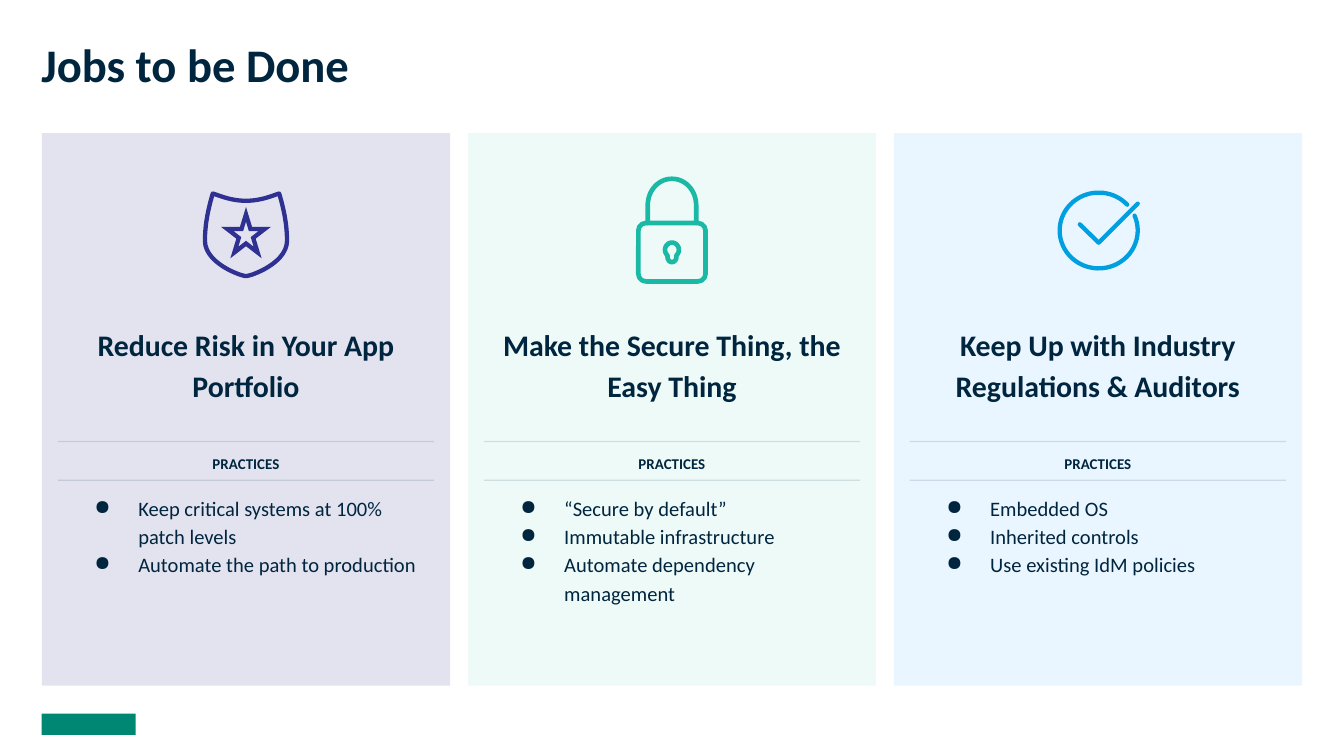
import math

from lxml import etree
from pptx import Presentation
from pptx import util as u
from pptx.dml.color import RGBColor
from pptx.enum import shapes, text
from pptx.oxml.ns import qn

Pt = u.Pt
NAVY = "00253E"
FONT = "Calibri"
CENTER = text.PP_ALIGN.CENTER
RECT = shapes.MSO_SHAPE.RECTANGLE

CARD_WIDTH, CARD_PITCH, MIDDLE = 218.8, 228.2, 360
INNER_WIDTH = 201.6


def set_color(color_format, value, alpha=100):
    """Apply a hex colour, with opacity in percent."""
    color_format.rgb = RGBColor.from_string(value)
    if alpha < 100:
        element = color_format._xFill.find(qn("a:srgbClr"))
        etree.SubElement(element, qn("a:alpha")).set("val", str(alpha * 1000))


def add_block(slide, left, top, width, height, color, alpha=100):
    shape = slide.shapes.add_shape(RECT, Pt(left), Pt(top), Pt(width), Pt(height))
    shape.shadow.inherit = False
    shape.fill.solid()
    set_color(shape.fill.fore_color, color, alpha)
    shape.line.fill.background()


def add_text_frame(slide, left, top, width, height, anchor=text.MSO_ANCHOR.TOP):
    frame = slide.shapes.add_textbox(Pt(left), Pt(top), Pt(width), Pt(height)).text_frame
    values = dict.fromkeys(
        ("margin_left", "margin_right", "margin_top", "margin_bottom"), Pt(7.2))
    values.update(word_wrap=True, vertical_anchor=anchor)
    for name, value in values.items():
        setattr(frame, name, value)
    return frame


def write(paragraph, words, size, bold=False, bullet=False, **layout):
    if bullet:
        add_bullet(paragraph)
    for name, value in layout.items():
        setattr(paragraph, name, value)
    run = paragraph.add_run()
    run.text = words
    for name, value in {"name": FONT, "size": Pt(size), "bold": bold}.items():
        setattr(run.font, name, value)
    set_color(run.font.color, NAVY)


def add_bullet(paragraph):
    properties = paragraph._p.get_or_add_pPr()
    properties.set("marL", str(Pt(36)))
    properties.set("indent", str(Pt(-23.5)))
    bullet_color = etree.SubElement(properties, qn("a:buClr"))
    etree.SubElement(bullet_color, qn("a:srgbClr")).set("val", NAVY)
    etree.SubElement(properties, qn("a:buChar")).set("char", "●")


# Icon strokes: x is measured from the middle of the card
def style_stroke(shape, color, width, join="round"):
    shape.shadow.inherit = False
    shape.fill.background()
    shape.line.width = Pt(width)
    set_color(shape.line.color, color)
    line = shape.line._get_or_add_ln()
    line.set("cap", "rnd")
    etree.SubElement(line, qn(f"a:{join}"))


def add_path(slide, center, points, color, width, close=False):
    places = [(Pt(center + x), Pt(y)) for x, y in points]
    builder = slide.shapes.build_freeform(*places[0], scale=1.0)
    builder.add_line_segments(places[1:], close=close)
    style_stroke(builder.convert_to_shape(), color, width)


def add_preset(slide, kind, left, top, width, height, color, stroke, join="round"):
    shape = slide.shapes.add_shape(kind, Pt(left), Pt(top), Pt(width), Pt(height))
    style_stroke(shape, color, stroke, join)
    return shape


def trace(start, *curves, steps=14):
    """Points along a chain of cubic curves."""
    points = [start]
    for first, second, end in curves:
        begin = points[-1]
        for step in range(1, steps + 1):
            t = step / steps
            weights = ((1 - t) ** 3, 3 * t * (1 - t) ** 2, 3 * t * t * (1 - t), t ** 3)
            corners = (begin, first, second, end)
            points.append(tuple(sum(w * c[axis] for w, c in zip(weights, corners))
                                for axis in (0, 1)))
    return points


def mirror(points):
    """Complete a right half with its left half."""
    return points + [(-x, y) for x, y in reversed(points)]


def draw_shield(slide, center, color):
    half = trace((0, 107.6),
                 ((8.6, 107.6), (15, 104.4), (17.8, 103.7)),
                 ((19.5, 109.5), (22, 118.8), (22, 128.9)),
                 ((22, 141), (2.9, 147.9), (0, 147.9)))
    add_path(slide, center, mirror(half), color, 2.3, close=True)
    add_preset(slide, shapes.MSO_SHAPE.STAR_5_POINT, center - 10.1, 114.8,
               20.2, 20.5, color, 2.3, "miter")


def draw_padlock(slide, center, color):
    body = add_preset(slide, shapes.MSO_SHAPE.ROUNDED_RECTANGLE, center - 18, 119.5,
                      36, 31.3, color, 2.5)
    body.adjustments[0] = 0.13
    shackle = trace((0, 95.8), ((7.2, 95.8), (13, 102), (13, 110.2))) + [(13, 119.5)]
    add_path(slide, center, mirror(shackle[::-1]), color, 2.5)
    keyhole = trace((0, 130),
                    ((2, 130), (3.7, 131.7), (3.7, 133.9)),
                    ((3.7, 135.2), (3.1, 136.2), (2.3, 136.9)),
                    ((2.6, 138.8), (1.6, 140.4), (0, 140.4)))
    add_path(slide, center, mirror(keyhole), color, 2.5, close=True)


def draw_check(slide, center, color):
    angles = [math.radians(degree) for degree in range(-23, 318, 5)]
    ring = [(0.4 + 20.9 * math.cos(a), 123.5 + 20.3 * math.sin(a)) for a in angles]
    add_path(slide, center, ring, color, 2.3)
    add_path(slide, center, [(-9.7, 120.2), (0.4, 130), (21.3, 109.1)], color, 2.3)


def add_card(slide, center, card):
    tint, alpha, draw_icon, icon_color, heading, practices = card
    add_block(slide, center - CARD_WIDTH / 2, 71.4, CARD_WIDTH, 296, tint, alpha)
    draw_icon(slide, center, icon_color)
    left = center - INNER_WIDTH / 2

    # Heading and practices
    frame = add_text_frame(slide, left, 164.9, INNER_WIDTH, 180)
    write(frame.paragraphs[0], heading, 16, bold=True,
          alignment=CENTER, line_spacing=1.15)
    for number, practice in enumerate(practices):
        write(frame.add_paragraph(), practice, 11, bullet=True, line_spacing=1.15,
              space_before=Pt(0 if number else 47.5))

    # Label between two thin rules
    for top in (236.2, 257):
        add_block(slide, left, top, INNER_WIDTH, 0.75, NAVY, 13)
    label = add_text_frame(slide, left, 242, INNER_WIDTH, 13, text.MSO_ANCHOR.MIDDLE)
    write(label.paragraphs[0], "PRACTICES", 8, bold=True,
          alignment=CENTER, space_after=Pt(3))


CARDS = [
    ("2E2C91", 13, draw_shield, "2E3092", "Reduce Risk in Your App Portfolio",
     ["Keep critical systems at 100% patch levels", "Automate the path to production"]),
    ("1AB9A5", 7, draw_padlock, "1AB9A5", "Make the Secure Thing, the Easy Thing",
     ["“Secure by default”", "Immutable infrastructure",
      "Automate dependency management"]),
    ("1FA1FF", 9, draw_check, "009FDF", "Keep Up with Industry Regulations & Auditors",
     ["Embedded OS", "Inherited controls", "Use existing IdM policies"]),
]


def main():
    presentation = Presentation()
    presentation.slide_width, presentation.slide_height = Pt(720), Pt(405)
    slide = presentation.slides.add_slide(presentation.slide_layouts[6])

    # Title
    title = add_text_frame(slide, 15.1, 12.2, 681.8, 31)
    write(title.paragraphs[0], "Jobs to be Done", 25, bold=True)

    # Cards
    for index, card in enumerate(CARDS):
        add_card(slide, MIDDLE + (index - 1) * CARD_PITCH, card)

    # Footer mark
    add_block(slide, 22.3, 382.3, 50.4, 11.5, "008774")

    presentation.save("out.pptx")


if __name__ == "__main__":
    main()
